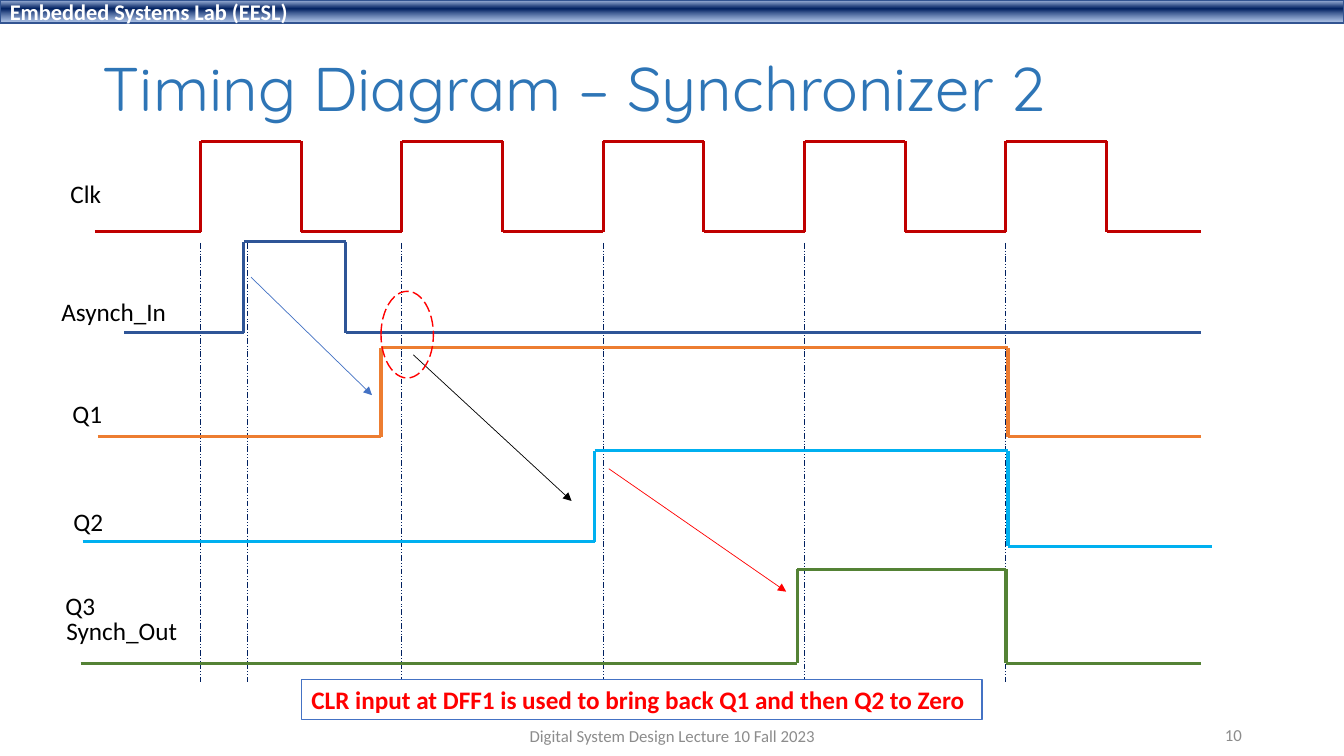
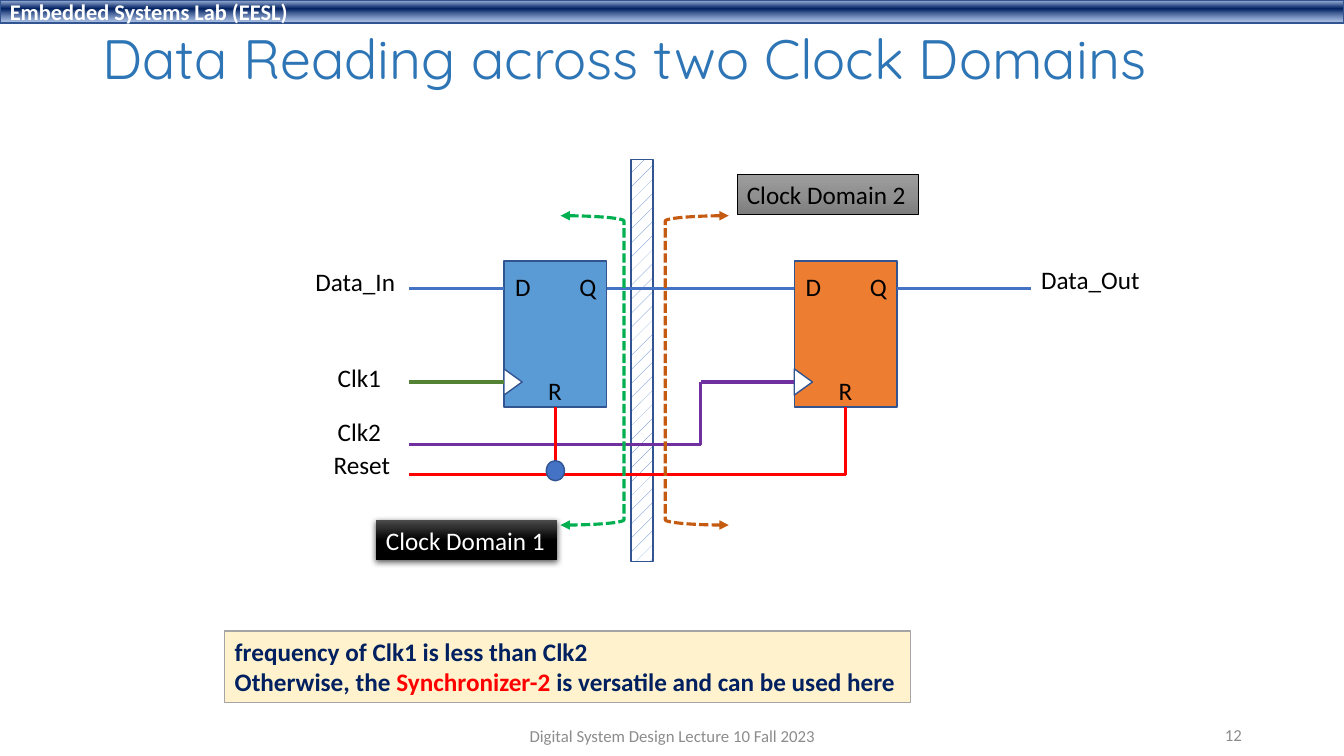
import lxml.etree
import pptx
import pptx.dml.color
import pptx.enum.dml
import pptx.enum.shapes
import pptx.enum.text
import pptx.oxml.ns
import pptx.util

rgb = pptx.dml.color.RGBColor.from_string
qn = pptx.oxml.ns.qn
Pt = pptx.util.Pt
SHAPE = pptx.enum.shapes.MSO_SHAPE
DASH = pptx.enum.dml.MSO_LINE
ALIGN = pptx.enum.text.PP_ALIGN
ANCHOR = pptx.enum.text.MSO_ANCHOR
FIT = pptx.enum.text.MSO_AUTO_SIZE

OUTLINE, BLUE, RED, NAVY, BLACK, WHITE = "325491", "4472C4", "FF0000", "002060", "000000", "FFFFFF"
GREEN, PURPLE, TITLE, GREY = "548235", "7030A0", "2E75B6", "8C8C8C"
ROW = 5.33

prs = pptx.Presentation()
prs.slide_width = pptx.util.Inches(13.33)
prs.slide_height = pptx.util.Inches(7.5)
COL_W = prs.slide_width / 100
ROW_H = prs.slide_height / 100


def box(s, kind, x, y, w, h, text="", size=18, color=BLACK, bold=False, font="Calibri",
        fill=None, line=None, width=1, align=ALIGN.LEFT, anchor=ANCHOR.TOP, wrap=False):
    at = [int(x * COL_W), int(y * ROW_H), int(w * COL_W), int(h * ROW_H)]
    sp = s.shapes.add_shape(kind, *at) if kind else s.shapes.add_textbox(*at)
    sp.shadow.inherit = False
    if isinstance(fill, list):
        sp.fill.gradient()
        sp.fill.gradient_angle = 270
        stops = next(sp._element.iter(qn("a:gsLst")))
        for stop in list(stops):
            stops.remove(stop)
        for pos, tone, alpha in fill:
            stop = lxml.etree.SubElement(stops, qn("a:gs"), pos=str(pos * 1000))
            clr = lxml.etree.SubElement(stop, qn("a:srgbClr"), val=tone)
            lxml.etree.SubElement(clr, qn("a:alpha"), val=str(alpha * 1000))
    elif fill:
        sp.fill.solid()
        sp.fill.fore_color.rgb = rgb(fill)
    else:
        sp.fill.background()
    if line:
        sp.line.color.rgb = rgb(line)
        sp.line.width = Pt(width)
    else:
        sp.line.fill.background()
    if text:
        tf = sp.text_frame
        tf.text = text
        tf.word_wrap = wrap
        tf.auto_size = FIT.NONE if wrap else FIT.SHAPE_TO_FIT_TEXT
        tf.vertical_anchor = anchor
        p = tf.paragraphs[0]
        p.alignment = align
        p.font.size = Pt(size)
        r = p.runs[0]
        r.font.name = font
        r.font.size = Pt(size)
        r.font.bold = bold
        r.font.color.rgb = rgb(color)
    return sp


def wire(s, points, color, width=2.25, dash=None, arrow=False):
    parts = []
    for (x1, y1), (x2, y2) in zip(points, points[1:]):
        c = s.shapes.add_connector(pptx.enum.shapes.MSO_CONNECTOR.STRAIGHT, int(x1 * COL_W),
                                   int(y1 * ROW_H), int(x2 * COL_W), int(y2 * ROW_H))
        c.line.color.rgb = rgb(color)
        c.line.width = Pt(width)
        if dash:
            c.line.dash_style = dash
        if arrow:
            ln = c._element.spPr.find(qn("a:ln"))
            lxml.etree.SubElement(ln, qn("a:tailEnd"), type="triangle")
        lxml.etree.SubElement(c._element.spPr, qn("a:effectLst"))
        parts.append(c)
    return parts


band = [(2, "ABC0E4", 100), (38, NAVY, 100), (93, "7E9ED6", 64)]
slides = []
for title, y, h, size, number in [
    ("Timing Diagram – Synchronizer 2", 5.33, 13.6, 44, "10"),
    ("Data Reading across two Clock Domains", 2, 12.4, 39.6, "12"),
]:
    s = prs.slides.add_slide(prs.slide_layouts[6])
    box(s, SHAPE.RECTANGLE, 0, 0, 100, 3.07, "Embedded Systems Lab (EESL)", 16, WHITE, True,
        fill=band, line=OUTLINE, anchor=ANCHOR.MIDDLE, wrap=True)
    sp = box(s, None, 6.9, y, 86.25, h, title, size, TITLE, font="Quicksand",
             anchor=ANCHOR.MIDDLE, wrap=True)
    sp.text_frame.paragraphs[0].line_spacing = 0.9
    box(s, None, 33.15, 94.67, 33.75, ROW, "Digital System Design Lecture 10 Fall 2023", 12, GREY,
        align=ALIGN.CENTER, anchor=ANCHOR.MIDDLE, wrap=True)
    box(s, None, 70.65, 94.53, 22.5, ROW, number, 12, GREY,
        align=ALIGN.RIGHT, anchor=ANCHOR.MIDDLE, wrap=True)
    slides.append(s)
timing, domains = slides

edges = [14.92 + 7.49 * i for i in range(10)]
for x in edges[::2] + [18.38]:
    wire(timing, [(x, 32.13), (x, 90.2)], NAVY, 0.5, DASH.DASH_DOT_DOT)

high, low, end = 18.67, 30.67, 89.33
clock = [(7.05, low)]
for i, x in enumerate(edges):
    clock += [(x, high), (x, low)] if i % 2 else [(x, low), (x, high)]
wire(timing, clock + [(end, low)], "C00000")

for start, rise, fall, stop, top, base, rest, color in [
    (9.23, 18.15, 25.73, end, 32, 44, 44, "2F5597"),
    (7.28, 28.35, 75, end, 46, 57.8, 57.8, "ED7D31"),
    (6.15, 44.25, 75, 90.15, 59.6, 71.65, 72.27, "00B0F0"),
    (6, 59.33, 74.85, end, 75.33, 87.73, 87.73, GREEN),
]:
    wire(timing, [(start, base), (rise, base), (rise, top), (fall, top), (fall, rest), (stop, rest)], color)

for x1, y1, x2, y2, color in [
    (18.68, 36.67, 27.68, 52.27, BLUE),
    (30.75, 46.93, 42.53, 66.27, BLACK),
    (45.3, 62, 58.5, 78.27, RED),
]:
    wire(timing, [(x1, y1), (x2, y2)], color, 0.5, arrow=True)

sp = box(timing, SHAPE.OVAL, 28.35, 38.53, 3.9, 11.47, line=RED)
sp.line.dash_style = DASH.LONG_DASH
box(timing, SHAPE.RECTANGLE, 22.43, 89.87, 50.63, ROW,
    "CLR input at DFF1 is used to bring back Q1 and then Q2 to Zero", color=RED, bold=True,
    fill=WHITE, line=BLUE)

barrier = box(domains, SHAPE.RECTANGLE, 46.95, 21.07, 1.65, 53.2, line=OUTLINE)
barrier.fill.patterned()
barrier.fill.pattern = pptx.enum.dml.MSO_PATTERN.PERCENT_5
barrier.fill.fore_color.rgb = rgb(BLUE)
barrier.fill.back_color.rgb = rgb(WHITE)

ff_left, ff_top, ff_w, ff_h = [37.5, 59.1], 34.53, 7.65, 19.33
data_y, clk_y, clk2_y, reset_y, in_x, bend_x, out_x = 38.13, 50.53, 58.8, 62.8, 30.45, 52.13, 76.73
ffs = []
for x, fill in zip(ff_left, ["5B9BD5", "ED7D31"]):
    ffs.append(box(domains, SHAPE.RECTANGLE, x, ff_top, ff_w, ff_h, fill=fill, line=OUTLINE))
    sp = box(domains, SHAPE.ISOSCELES_TRIANGLE, x - 0.3, clk_y - 1.2, 1.95, 2.4, fill=WHITE, line=OUTLINE)
    sp.rotation = 90
    for port, dx, y, w in [("D", 0.1, 35.2, 2.6), ("Q", 4.88, 35.2, 2.7), ("R", 2.55, 48.93, 2.55)]:
        box(domains, None, x + dx, y, w, ROW, port)

for x1, x2 in [(in_x, ff_left[0]), (ff_left[0] + ff_w, ff_left[1]), (ff_left[1] + ff_w, out_x)]:
    wire(domains, [(x1, data_y), (x2, data_y)], BLUE)
wire(domains, [(in_x, clk_y), (ff_left[0], clk_y)], GREEN)
wire(domains, [(ff_left[1], clk_y), (bend_x, clk_y), (bend_x, clk2_y), (in_x, clk2_y)], PURPLE)

reset_x = [x + ff_w / 2 for x in ff_left]
for ff, x, tail in zip(ffs, reset_x, [[], [(in_x, reset_y)]]):
    parts = wire(domains, [(x, ff_top + ff_h), (x, reset_y)] + tail, RED)
    parts[0].begin_connect(ff, 2)
box(domains, SHAPE.OVAL, reset_x[0] - 0.68, 60.93, 1.35, 2.67, fill=BLUE, line=OUTLINE)

for s, text, x, y, w in [
    (timing, "Clk", 4.5, 22.93, 3.83),
    (timing, "Asynch_In", 3.83, 38.53, 9.38),
    (timing, "Q1", 4.65, 52, 3.75),
    (timing, "Q2", 4.73, 66.27, 3.75),
    (timing, "Q3", 4.13, 77.47, 3.75),
    (timing, "Synch_Out", 4.2, 80.8, 9.83),
    (domains, "Data_In", 22.73, 34.53, 7.5),
    (domains, "Clk1", 24.38, 47.33, 4.8),
    (domains, "Clk2", 24.38, 54.4, 4.8),
    (domains, "Reset", 24.08, 58.8, 5.78),
    (domains, "Data_Out", out_x, 34.27, 8.93),
]:
    box(s, None, x, y, w, ROW, text)

for x, color, flip in [(41.7, "00B050", "0"), (49.5, "C55A11", "1")]:
    sp = box(domains, SHAPE.RIGHT_BRACKET, x, 28.53, 4.73, 40.93, line=color, width=2.25)
    sp.line.dash_style = DASH.SQUARE_DOT
    sp._element.spPr.find(qn("a:xfrm")).set("flipH", flip)
    for tag in ("a:headEnd", "a:tailEnd"):
        lxml.etree.SubElement(sp._element.spPr.find(qn("a:ln")), qn(tag), type="triangle")

dark = [(0, "4B4B4B", 100), (50, BLACK, 100), (100, BLACK, 100)]
sp = box(domains, SHAPE.RECTANGLE, 27.98, 68.8, 13.5, ROW, "Clock Domain 1", color=WHITE, fill=dark)
shadow = lxml.etree.SubElement(sp._element.spPr.find(qn("a:effectLst")), qn("a:outerShdw"),
                               blurRad="57150", dist="19050", dir="5400000", algn="ctr", rotWithShape="0")
clr = lxml.etree.SubElement(shadow, qn("a:srgbClr"), val=BLACK)
lxml.etree.SubElement(clr, qn("a:alpha"), val="63000")
light = [(0, "9D9D9D", 100), (50, "909090", 100), (100, "7C7C7C", 100)]
box(domains, SHAPE.RECTANGLE, 54.83, 23.07, 13.5, ROW, "Clock Domain 2", fill=light, line=BLACK, width=0.5)

note = box(domains, SHAPE.RECTANGLE, 16.73, 83.47, 51, 9.47, "frequency of Clk1 is less than Clk2",
           color=NAVY, bold=True, fill="FFF2CC", line="A5A5A5")
p = note.text_frame.add_paragraph()
p.alignment = ALIGN.LEFT
for text, color in [("Otherwise, the ", NAVY), ("Synchronizer-2", RED),
                    (" is versatile and can be used here", NAVY)]:
    r = p.add_run()
    r.text = text
    r.font.name = "Calibri"
    r.font.size = Pt(18)
    r.font.bold = True
    r.font.color.rgb = rgb(color)

prs.save("out.pptx")
